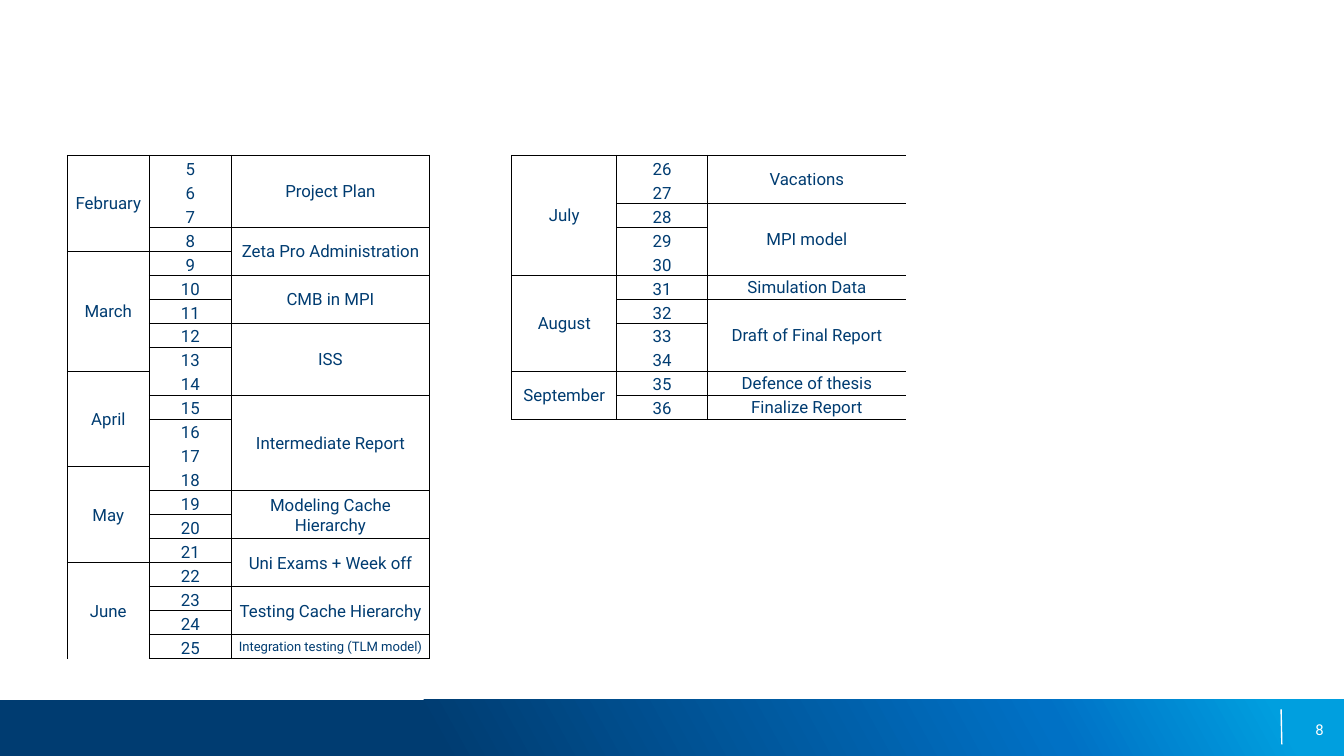
from copy import deepcopy
from lxml import etree
from pptx import Presentation
from pptx.dml.color import RGBColor
from pptx.enum import shapes, text
from pptx.oxml import ns
from pptx.util import Pt

FONT = "Roboto"
NAVY = "003C71"
WHITE = "FFFFFF"
ROWS = 21
STEP = 12.86
COLS = [44, 44, 106, 44.2, 56.2, 48.8, 35.4, 35.4, 35.4]
PLAIN = "{2D5ABB26-0587-4C30-8999-92F81FD0307C}"

SPRING = [("February", 4), ("March", 5), ("April", 4), ("May", 4), ("June", 4)]
SUMMER = [("July", 5), ("August", 4), ("September", 2)]
EARLY = [
    ("Project Plan", 3),
    ("Zeta Pro Administration", 2),
    ("CMB in MPI", 2),
    ("ISS", 3),
    ("Intermediate Report", 4),
    ("Modeling Cache Hierarchy", 2),
    ("Uni Exams + Week off", 2),
    ("Testing Cache Hierarchy", 2),
    ("Integration testing (TLM model)", 1),
]
LATE = [
    ("Vacations", 2),
    ("MPI model", 3),
    ("Simulation Data", 1),
    ("Draft of Final Report", 3),
    ("Defence of thesis", 1),
    ("Finalize Report", 1),
]


def color(code):
    return RGBColor.from_string(code)


def style(para, size, code, align):
    para.alignment = align
    para.font.name = FONT
    para.font.size = Pt(size)
    para.font.color.rgb = color(code)


def edge(cell, side):
    props = cell._tc.get_or_add_tcPr()
    line = etree.SubElement(props, ns.qn("a:ln" + side), w=str(Pt(0.5)))
    fill = etree.SubElement(line, ns.qn("a:solidFill"))
    etree.SubElement(fill, ns.qn("a:srgbClr"), val="000000")


def frame(grid, row, col, high, wide=1):
    for r in range(row, row + high):
        for c in range(col, col + wide):
            sides = [("L", c == col), ("R", c == col + wide - 1),
                     ("T", r == row), ("B", r == row + high - 1)]
            for side, outer in sides:
                if outer:
                    edge(grid.cell(r, c), side)


def write(cell, words, size=9, anchor=text.MSO_ANCHOR.MIDDLE):
    cell.vertical_anchor = anchor
    para = cell.text_frame.paragraphs[0]
    para.text = words
    style(para, size, NAVY, text.PP_ALIGN.CENTER)


def block(grid, row, col, high, wide, words, size=9):
    frame(grid, row, col, high, wide)
    cell = grid.cell(row, col)
    if high * wide > 1:
        cell.merge(grid.cell(row + high - 1, col + wide - 1))
    write(cell, words, size)


def plan(grid, col, week, months, tasks, wide):
    row = 0
    for name, high in months:
        block(grid, row, col, high, 1, name)
        row += high
    row = 0
    for name, high in tasks:
        frame(grid, row, col + 1, high)
        for r in range(row, row + high):
            write(grid.cell(r, col + 1), str(week + r), 9, text.MSO_ANCHOR.BOTTOM)
        size = 7 if len(name) > 30 else 9
        block(grid, row, col + 2, high, wide, name, size)
        row += high


def finish(cell):
    cell.fill.background()
    cell.margin_left = cell.margin_right = cell.margin_top = Pt(0.7)
    cell.margin_bottom = 0
    if not cell.text_frame.text:
        para = cell.text_frame.paragraphs[0]
        etree.SubElement(para._p, ns.qn("a:endParaRPr"), sz="900")


def table(slide):
    shape = slide.shapes.add_table(ROWS, len(COLS), Pt(36), Pt(83.2),
                                   Pt(sum(COLS)), Pt(ROWS * STEP))
    grid = shape.table
    grid.first_row = grid.horz_banding = False
    for kind in shape._element.iter(ns.qn("a:tableStyleId")):
        kind.text = PLAIN
    for col, width in zip(grid.columns, COLS):
        col.width = Pt(width)
    for row in grid.rows:
        row.height = Pt(STEP)
    plan(grid, 0, 5, SPRING, EARLY, 1)
    plan(grid, 4, 26, SUMMER, LATE, 3)
    for cell in grid.iter_cells():
        finish(cell)


def band(slide):
    bar = slide.shapes.add_shape(shapes.MSO_SHAPE.RECTANGLE,
                                 0, Pt(375), Pt(720), Pt(30))
    bar.shadow.inherit = False
    bar.line.fill.background()
    bar.fill.gradient()
    bar.fill.gradient_angle = 29
    stops = next(bar._element.iter(ns.qn("a:gsLst")))
    stops.append(deepcopy(stops[-1]))
    tints = [(0.32, NAVY), (0.78, "0071C5"), (0.95, "009FDF")]
    for stop, (place, code) in zip(bar.fill.gradient_stops, tints):
        stop.position = place
        stop.color.rgb = color(code)


def rule(slide):
    line = slide.shapes.add_connector(shapes.MSO_CONNECTOR.STRAIGHT,
                                      Pt(686.3), Pt(380), Pt(686.7), Pt(398.8))
    line.line.color.rgb = color(WHITE)
    line.line.width = Pt(0.75)
    etree.SubElement(line._element.spPr, ns.qn("a:effectLst"))


def number(slide, words):
    box = slide.shapes.add_textbox(Pt(541.4), Pt(380), Pt(167.8), Pt(21.6))
    body = box.text_frame
    body.word_wrap = True
    body.vertical_anchor = text.MSO_ANCHOR.MIDDLE
    body.margin_left = body.margin_right = 0
    body.margin_top = body.margin_bottom = 0
    para = body.paragraphs[0]
    para.text = words
    style(para, 8, WHITE, text.PP_ALIGN.RIGHT)


def main():
    deck = Presentation()
    deck.slide_width = Pt(720)
    deck.slide_height = Pt(405)
    slide = deck.slides.add_slide(deck.slide_layouts[6])
    band(slide)
    rule(slide)
    number(slide, "8")
    table(slide)
    deck.save("out.pptx")


main()
